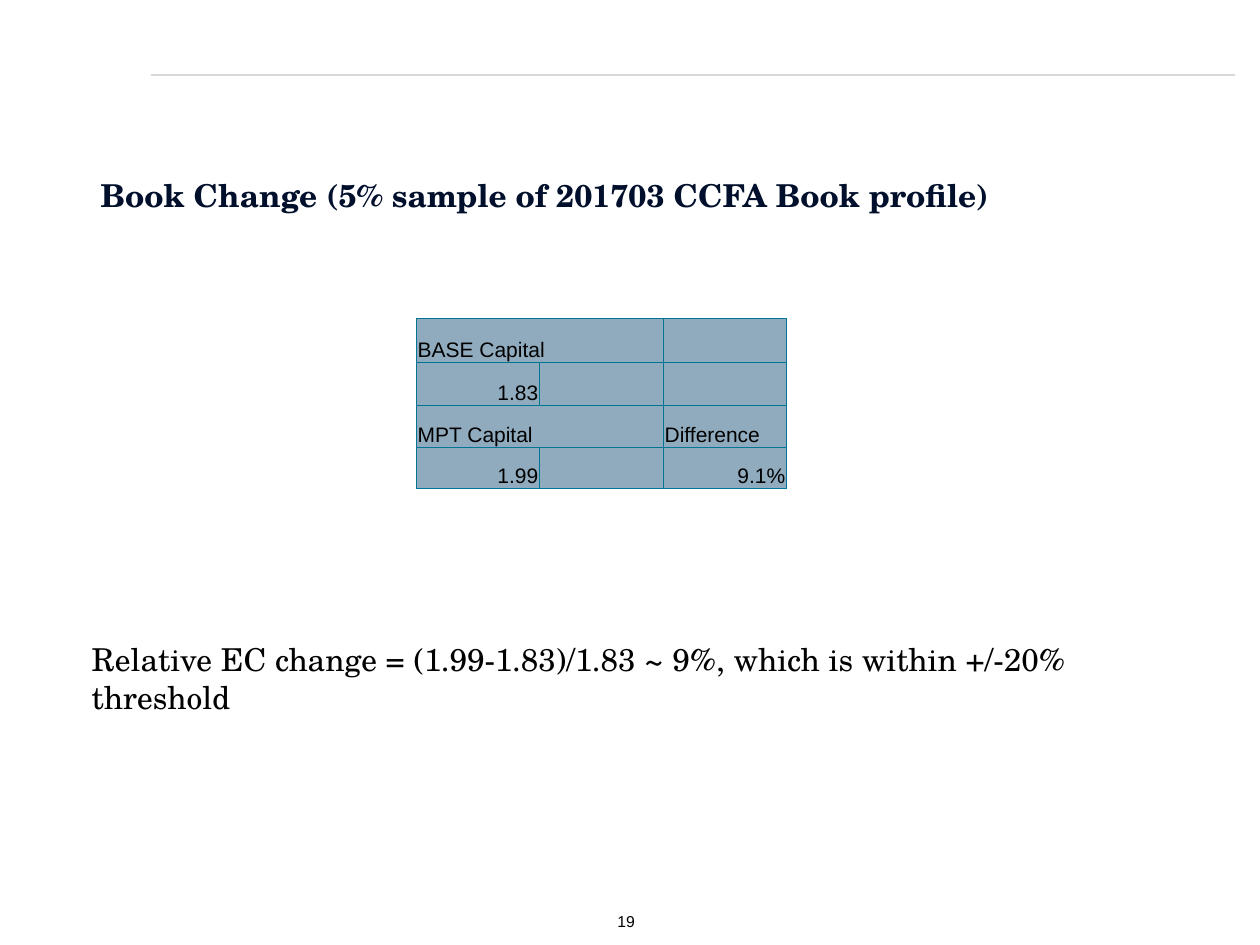
from lxml import etree
from pptx import Presentation
from pptx.dml.color import RGBColor
from pptx.enum.shapes import MSO_CONNECTOR
from pptx.enum.text import MSO_ANCHOR, MSO_AUTO_SIZE, PP_ALIGN
from pptx.oxml import parse_xml
from pptx.oxml.ns import nsdecls, qn
from pptx.util import Cm, Pt

COLORS = {"title": "000F2B", "text": "000000", "rule": "D9D7DC",
          "cell": "90ABBE", "border": "007697"}
SERIF, SANS = "TeX Gyre Schola", "Arial"


def style(para, font, size, color="text", bold=False, align=PP_ALIGN.LEFT):
    para.alignment = align
    for span in para.runs:
        span.font.name = font
        span.font.size = Pt(size)
        span.font.bold = bold
        span.font.color.rgb = RGBColor.from_string(COLORS[color])


def set_frame(frame, left, top, right, bottom, anchor):
    frame.word_wrap = True
    frame.auto_size = MSO_AUTO_SIZE.NONE
    frame.margin_left, frame.margin_top = Cm(left), Cm(top)
    frame.margin_right, frame.margin_bottom = Cm(right), Cm(bottom)
    frame.vertical_anchor = anchor


deck = Presentation()
deck.slide_width, deck.slide_height = Cm(25.4), Cm(19.05)
page = deck.slides.add_slide(deck.slide_layouts[5])

# Header rule
rule = page.shapes.add_connector(
    MSO_CONNECTOR.STRAIGHT, Cm(3.05), Cm(1.51), Cm(24.9), Cm(1.51))
rule.line.color.rgb = RGBColor.from_string(COLORS["rule"])
rule.line.width = Pt(1.5)
etree.SubElement(rule.element.spPr, qn("a:effectLst"))

# Title
title = page.shapes.title
title.left, title.top, title.width, title.height = Cm(2.03), Cm(3.53), Cm(22.89), Cm(0.89)
title.text_frame.text = "Book Change (5% sample of 201703 CCFA Book profile)"
set_frame(title.text_frame, 0, 0.13, 0.25, 0.13, MSO_ANCHOR.MIDDLE)
para = title.text_frame.paragraphs[0]
para.line_spacing = 0.9
style(para, SERIF, 18, "title", bold=True)

# Capital table
rows = [["BASE Capital", "", ""],
        ["1.83", "", ""],
        ["MPT Capital", "", "Difference"],
        ["1.99", "", "9.1%"]]
row_heights = [0.88, 0.87, 0.84, 0.83]
table = page.shapes.add_table(4, 3, Cm(8.39), Cm(6.42), Cm(7.47), Cm(3.42)).table
for column in table.columns:
    column.width = Cm(2.49)
for r, (values, height) in enumerate(zip(rows, row_heights)):
    table.rows[r].height = Cm(height)
    for c, value in enumerate(values):
        cell = table.cell(r, c)
        cell.text = value
        cell.margin_left = cell.margin_top = cell.margin_right = Cm(0.03)
        cell.margin_bottom = 0
        cell.vertical_anchor = MSO_ANCHOR.BOTTOM
        is_number = value[:1].isdigit()
        style(cell.text_frame.paragraphs[0], SANS, 12,
              align=PP_ALIGN.RIGHT if is_number else PP_ALIGN.LEFT)
        properties = cell._tc.get_or_add_tcPr()
        for side in ("lnL", "lnR", "lnT", "lnB"):
            properties.append(parse_xml(
                f'<a:{side} {nsdecls("a")} w="6350"><a:solidFill>'
                f'<a:srgbClr val="{COLORS["border"]}"/></a:solidFill></a:{side}>'))
        cell.fill.solid()
        cell.fill.fore_color.rgb = RGBColor.from_string(COLORS["cell"])
for r in (0, 2):
    table.cell(r, 0).merge(table.cell(r, 1))

# Conclusion
box = page.shapes.add_textbox(Cm(1.6), Cm(12.78), Cm(22.17), Cm(1.8))
box.text_frame.text = ("Relative EC change = (1.99-1.83)/1.83 ~ 9%, "
                       "which is within +/-20% threshold")
set_frame(box.text_frame, 0.25, 0.13, 0.25, 0.13, MSO_ANCHOR.TOP)
style(box.text_frame.paragraphs[0], SERIF, 18)

# Page number
number = page.shapes.add_textbox(Cm(11.48), Cm(18.29), Cm(2.29), Cm(0.58))
number.text_frame.text = "19"
set_frame(number.text_frame, 0.18, 0.1, 0.18, 0.1, MSO_ANCHOR.TOP)
style(number.text_frame.paragraphs[0], SANS, 9, align=PP_ALIGN.CENTER)

deck.save("out.pptx")
